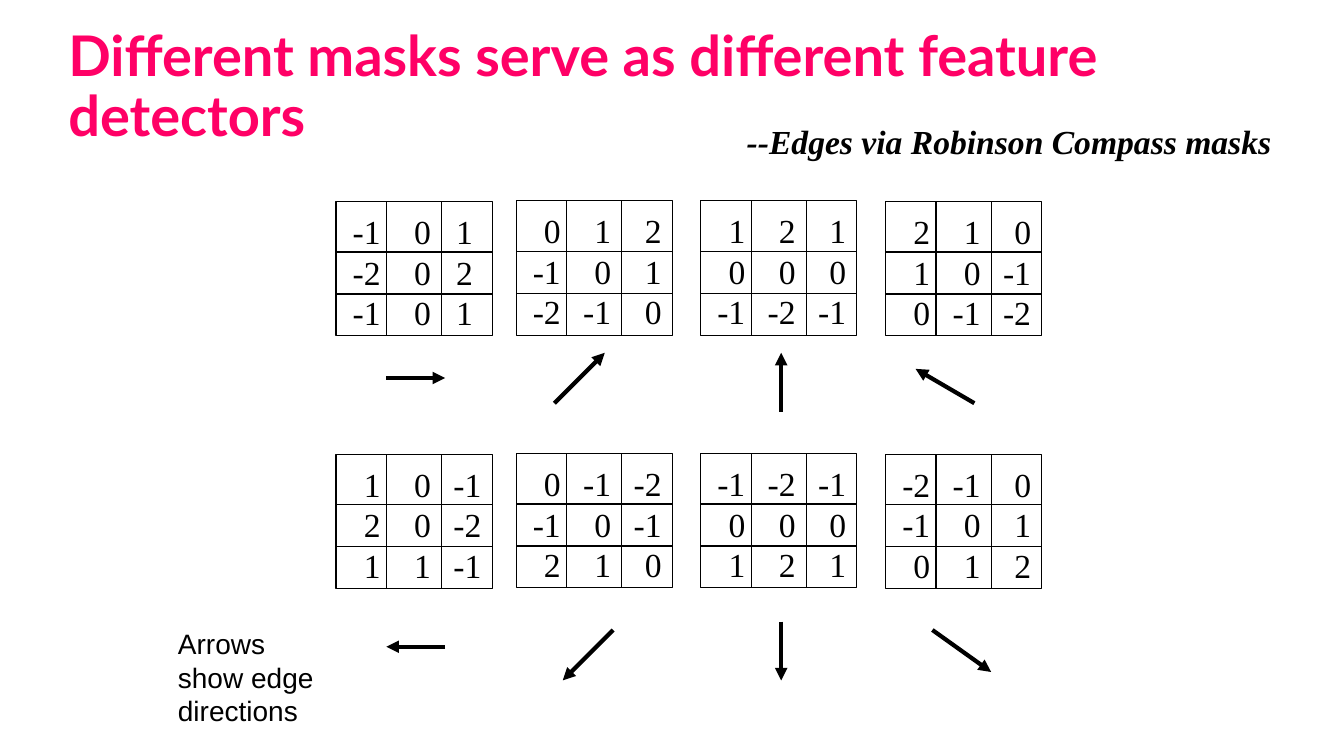
from itertools import accumulate

from lxml.etree import fromstring
from pptx import Presentation
from pptx.dml.color import RGBColor
from pptx.enum.shapes import MSO_CONNECTOR, MSO_SHAPE
from pptx.enum.text import MSO_ANCHOR
from pptx.oxml.ns import nsdecls
from pptx.util import Pt

BLACK = RGBColor(0, 0, 0)
PINK = RGBColor(255, 0, 102)

TITLE = "Different masks serve as different feature detectors"
SUBTITLE = "--Edges via Robinson Compass masks"
NOTE = "Arrows show edge directions"

WIDE_STOPS = (20, 56, 92)
NARROW_STOPS = (20, 56, 86)
MASK_ROWS = [
    (144, [
        (NARROW_STOPS, [(-1, 0, 1), (-2, 0, 2), (-1, 0, 1)]),
        (WIDE_STOPS, [(0, 1, 2), (-1, 0, 1), (-2, -1, 0)]),
        (WIDE_STOPS, [(1, 2, 1), (0, 0, 0), (-1, -2, -1)]),
        (WIDE_STOPS, [(2, 1, 0), (1, 0, -1), (0, -1, -2)]),
    ]),
    (324.6, [
        (WIDE_STOPS, [(1, 0, -1), (2, 0, -2), (1, 1, -1)]),
        (WIDE_STOPS, [(0, -1, -2), (-1, 0, -1), (2, 1, 0)]),
        (WIDE_STOPS, [(-1, -2, -1), (0, 0, 0), (1, 2, 1)]),
        (WIDE_STOPS, [(-2, -1, 0), (-1, 0, 1), (0, 1, 2)]),
    ]),
]
MASK_OFFSETS = [(240, 0), (368.7, -0.6), (500.5, -0.6), (632.6, 0)]
COLUMN_WIDTHS = (36, 39.6, 36)
ROW_HEIGHTS = (36, 30, 30)

ARROWS = [
    (276, 270, 318, 270),
    (396, 288, 432, 252),
    (558, 294, 558, 252),
    (696, 288, 654, 263.5),
    (318, 462, 276, 462),
    (438, 450, 402, 486),
    (558, 444, 558, 486),
    (666, 450, 708, 480),
]


def add_text(shapes, text, box, font_name, size, color=BLACK,
             bold=False, italic=False, stops=()):
    frame = shapes.add_textbox(*map(Pt, box)).text_frame
    frame.word_wrap = True
    frame.text = text
    tabs = "".join(f'<a:tab pos="{Pt(stop)}" algn="r"/>' for stop in stops)
    for paragraph in frame.paragraphs:
        if stops:
            paragraph._p.get_or_add_pPr().append(
                fromstring(f'<a:tabLst {nsdecls("a")}>{tabs}</a:tabLst>'))
        for run in paragraph.runs:
            font = run.font
            font.name = font_name
            font.size = Pt(size)
            font.bold = bold
            font.italic = italic
            font.color.rgb = color
    return frame


def add_line(shapes, ends, width):
    connector = shapes.add_connector(MSO_CONNECTOR.STRAIGHT, *map(Pt, ends))
    connector.line.color.rgb = BLACK
    connector.line.width = Pt(width)
    connector._element.spPr.append(fromstring(f'<a:effectLst {nsdecls("a")}/>'))
    return connector


def add_mask(slide, left, top, stops, values):
    shapes = slide.shapes.add_group_shape().shapes
    width, height = sum(COLUMN_WIDTHS), sum(ROW_HEIGHTS)
    text = "\n".join("".join(f"\t{number}" for number in row) for row in values)
    add_text(shapes, text, (left + 4.8, top + 3.3, width + 2, 94.3),
             "Times New Roman", 24, stops=stops)
    outline = shapes.add_shape(
        MSO_SHAPE.RECTANGLE, Pt(left), Pt(top), Pt(width), Pt(height))
    outline.shadow.inherit = False
    outline.fill.background()
    outline.line.color.rgb = BLACK
    outline.line.width = Pt(0.75)
    for x in list(accumulate(COLUMN_WIDTHS, initial=left))[1:-1]:
        add_line(shapes, (x, top, x, top + height), 0.75)
    for y in list(accumulate(ROW_HEIGHTS, initial=top))[1:-1]:
        add_line(shapes, (left, y, left + width, y), 0.75)


def add_arrow(slide, ends):
    arrow = add_line(slide.shapes, ends, 3)
    arrow.line._get_or_add_ln().append(
        fromstring(f'<a:tailEnd {nsdecls("a")} type="triangle"/>'))


def main():
    presentation = Presentation()
    presentation.slide_width = Pt(960)
    presentation.slide_height = Pt(540)
    slide = presentation.slides.add_slide(presentation.slide_layouts[6])

    title = add_text(slide.shapes, TITLE, (41.8, 18, 873, 90), "Lato", 40, PINK,
                     bold=True)
    title.vertical_anchor = MSO_ANCHOR.MIDDLE
    title.paragraphs[0].line_spacing = 0.9

    for top, masks in MASK_ROWS:
        for (left, shift), (stops, values) in zip(MASK_OFFSETS, masks):
            add_mask(slide, left, top + shift, stops, values)
    for ends in ARROWS:
        add_arrow(slide, ends)

    add_text(slide.shapes, NOTE, (120, 444, 120, 79), "Arial", 20)
    add_text(slide.shapes, SUBTITLE, (526.3, 83, 399.6, 36), "Times New Roman", 24,
             bold=True, italic=True)
    presentation.save("out.pptx")


if __name__ == "__main__":
    main()
